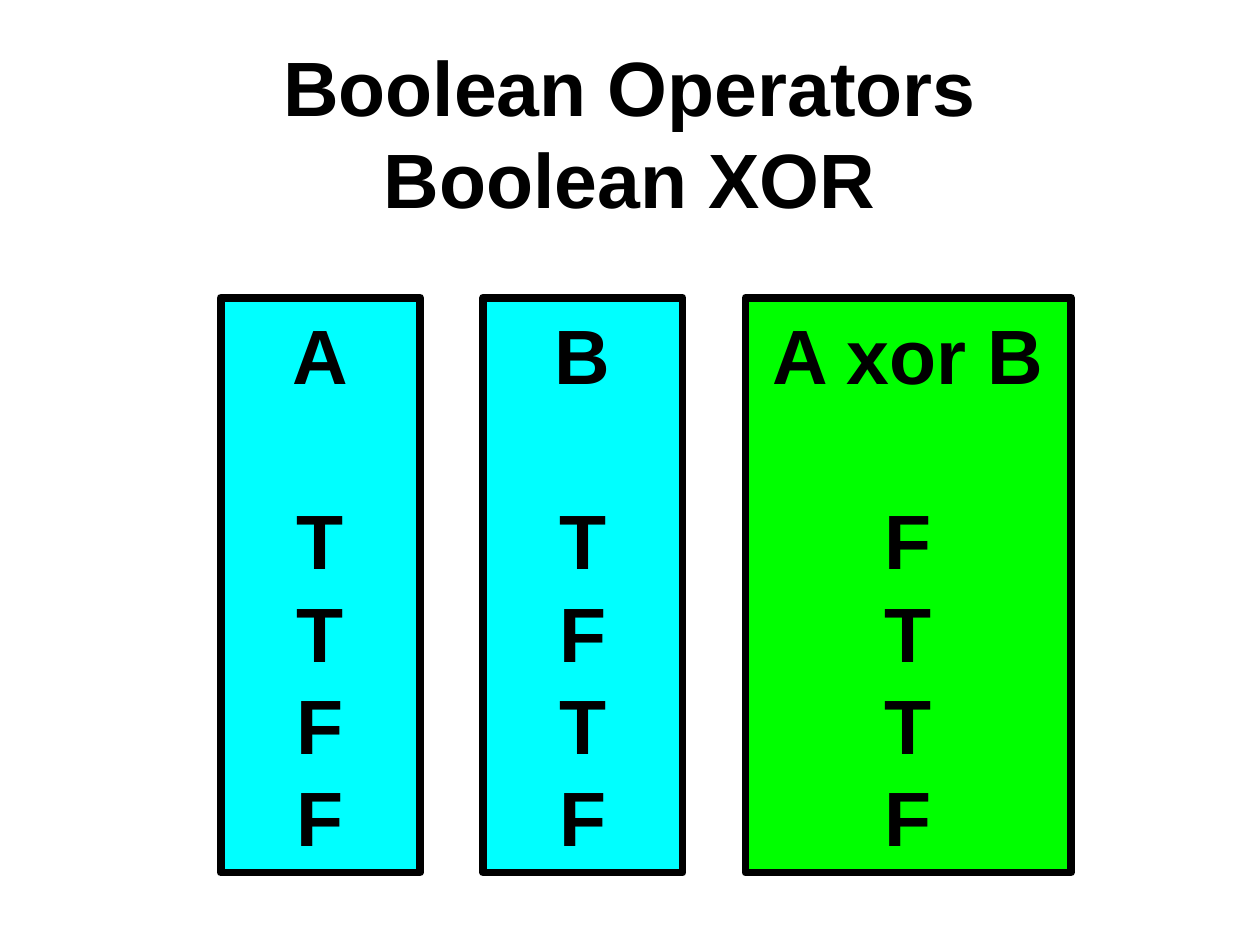
from pptx import Presentation
from pptx.dml.color import RGBColor
from pptx.enum.shapes import MSO_SHAPE
from pptx.enum.text import MSO_ANCHOR, PP_ALIGN
from pptx.util import Cm, Pt

BLACK = RGBColor(0, 0, 0)
CYAN = RGBColor(0, 255, 255)
GREEN = RGBColor(0, 255, 0)


def format_paragraph(paragraph):
    paragraph.alignment = PP_ALIGN.CENTER
    paragraph.font.name = "Arial"
    paragraph.font.size = Pt(44)
    paragraph.font.bold = True
    paragraph.font.color.rgb = BLACK


presentation = Presentation()
presentation.slide_width = Cm(25.4)
presentation.slide_height = Cm(19.05)
slide = presentation.slides.add_slide(presentation.slide_layouts[5])

# Title
title = slide.shapes.title
title.left, title.top = Cm(1.9), Cm(1.06)
title.width, title.height = Cm(21.6), Cm(3.18)
title.text_frame.text = "Boolean Operators\vBoolean XOR"
title.text_frame.vertical_anchor = MSO_ANCHOR.MIDDLE
format_paragraph(title.text_frame.paragraphs[0])

# Truth table: one box per column, as heading, values, width and fill
columns = [
    ("A", "TTFF", Cm(4.02), CYAN),
    ("B", "TFTF", Cm(4.02), CYAN),
    ("A xor B", "FTTF", Cm(6.56), GREEN),
]
left, gap = Cm(4.45), Cm(1.27)
for heading, values, width, color in columns:
    box = slide.shapes.add_shape(
        MSO_SHAPE.RECTANGLE, left, Cm(6), width, Cm(11.59))
    box.shadow.inherit = False
    box.fill.solid()
    box.fill.fore_color.rgb = color
    box.line.color.rgb = BLACK
    box.line.width = Pt(4.5)

    text_frame = box.text_frame
    text_frame.vertical_anchor = MSO_ANCHOR.MIDDLE
    text_frame.text = "\n".join([heading, *values])
    for paragraph in text_frame.paragraphs:
        format_paragraph(paragraph)
    # Space of one line below the heading
    text_frame.paragraphs[0].space_after = Pt(52.8)
    left += width + gap

presentation.save("out.pptx")
